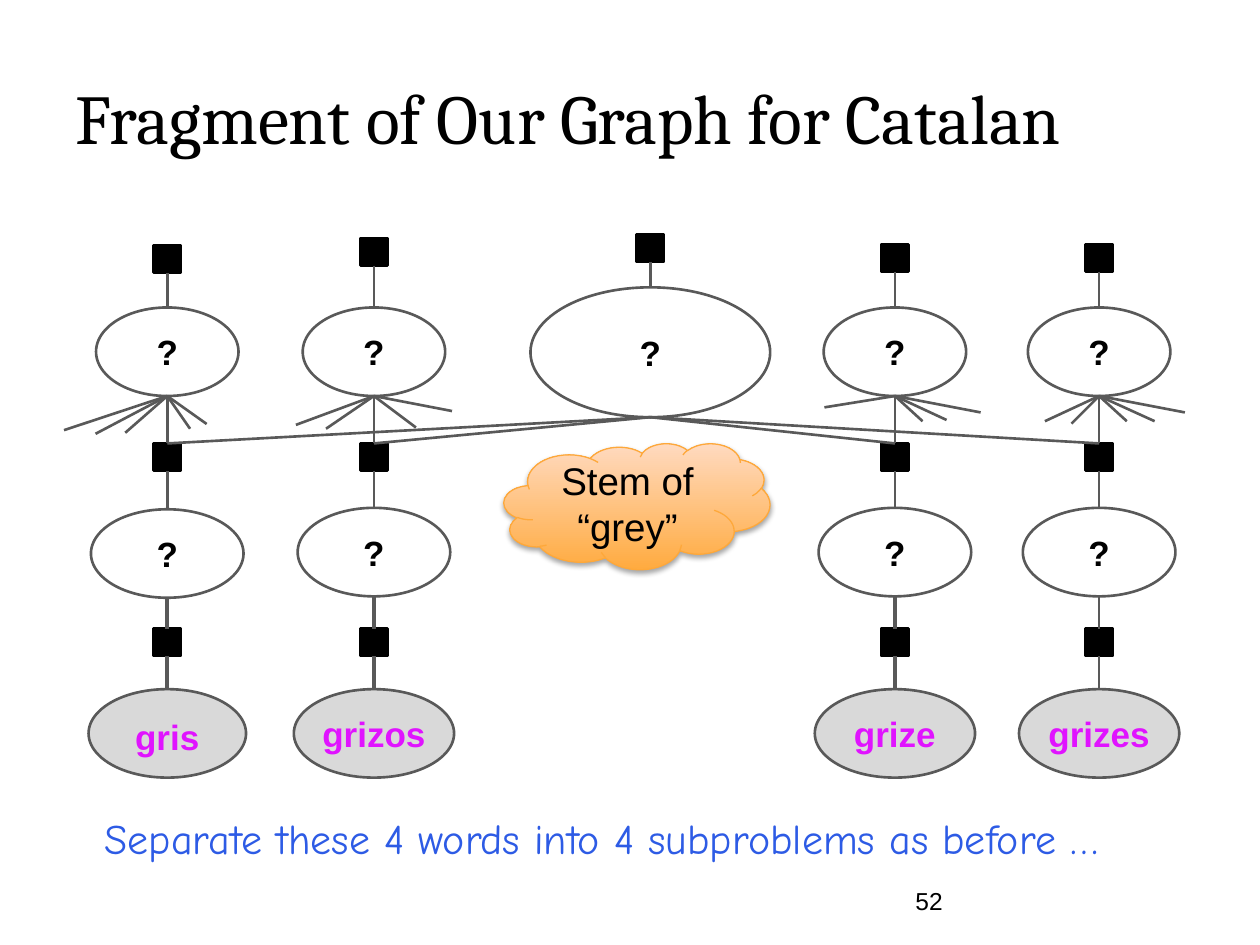
"""Build the slide showing a fragment of the factor graph for four Catalan words."""

from dataclasses import dataclass

from lxml.etree import SubElement
from pptx import Presentation
from pptx.dml.color import RGBColor
from pptx.enum.shapes import MSO_CONNECTOR, MSO_SHAPE
from pptx.enum.text import MSO_ANCHOR, MSO_AUTO_SIZE, PP_ALIGN
from pptx.oxml.ns import qn
from pptx.shapes.autoshape import Shape
from pptx.shapes.connector import Connector
from pptx.slide import Slide
from pptx.util import Pt

BLACK = RGBColor(0x00, 0x00, 0x00)
WHITE = RGBColor(0xFF, 0xFF, 0xFF)
GRAPH_LINE = RGBColor(0x59, 0x59, 0x59)
WORD_FILL = RGBColor(0xD9, 0xD9, 0xD9)
WORD_TEXT = RGBColor(0xE0, 0x13, 0xFF)
CLOUD_BOTTOM = RGBColor(0xFF, 0xAB, 0x40)
CLOUD_TOP = RGBColor(0xFF, 0xDA, 0xC0)
CLOUD_LINE = RGBColor(0xFE, 0xA8, 0x3A)
NOTE_BLUE = RGBColor(0x2D, 0x5B, 0xE5)

SQUARE_SIDE = 15.7
NODE_HEIGHT = 50.6
MIDDLE_SQUARE_TOP = 253.4
WORD_SQUARE_TOP = 359.3
UPPER_NODE_TOP = 175.7
WORD_NODE_TOP = 393.8


@dataclass(frozen=True)
class Column:
    """One word with its chain of nodes and its loose edges as offsets."""

    word: str
    center: float
    square_top: float
    middle_top: float
    word_width: float
    word_line: float
    loose_edges: tuple[tuple[float, float], ...]
    line_spacing: float = 1.0


COLUMNS = (
    Column("gris", 95.6, 140.2, 291, 90, 2.25,
           ((-59, 19.5), (-41, 21.6), (-24, 21), (13, 18.7), (22.5, 16)), 1.15),
    Column("grizos", 213.7, 136.1, 290.2, 91.6, 2.25,
           ((-44.6, 16.5), (-27.4, 18.7), (24, 18), (44.6, 8.6))),
    Column("grize", 511.4, 139.6, 290.2, 91.6, 2.25,
           ((-40.3, 6.5), (15.8, 14.4), (29.5, 13.7), (49, 9.4))),
    Column("grizes", 628.1, 139.6, 290.2, 91.6, 1.5,
           ((-31, 14.4), (-15.8, 15.8), (15.8, 14.4), (31.7, 14.4), (49, 9.4))),
)


def write(box: Shape, text: str, size: float, color: RGBColor, name: str = "Arial",
          bold: bool = False, align: PP_ALIGN = PP_ALIGN.LEFT,
          anchor: MSO_ANCHOR = MSO_ANCHOR.MIDDLE) -> None:
    """Put one formatted paragraph into a box."""
    frame = box.text_frame
    frame.word_wrap = True
    frame.auto_size = MSO_AUTO_SIZE.NONE
    frame.vertical_anchor = anchor
    para = frame.paragraphs[0]
    para.alignment = align
    span = para.add_run()
    span.text = text
    for key, value in {"name": name, "size": Pt(size), "bold": bold}.items():
        setattr(span.font, key, value)
    span.font.color.rgb = color


def add_figure(page: Slide, kind: MSO_SHAPE, center: float, top: float, width: float,
               height: float, fill: RGBColor, line: RGBColor) -> Shape:
    """Add a filled shape centred on a vertical axis."""
    figure = page.shapes.add_shape(
        kind, Pt(center - width / 2), Pt(top), Pt(width), Pt(height))
    figure.shadow.inherit = False
    figure.fill.solid()
    figure.fill.fore_color.rgb = fill
    figure.line.color.rgb = line
    figure.line.width = Pt(1.5)
    return figure


def add_square(page: Slide, center: float, top: float) -> Shape:
    """Add a black factor square."""
    return add_figure(page, MSO_SHAPE.RECTANGLE, center, top,
                      SQUARE_SIDE, SQUARE_SIDE, BLACK, BLACK)


def add_node(page: Slide, center: float, top: float, width: float,
             height: float = NODE_HEIGHT, text: str = "?",
             fill: RGBColor = WHITE, color: RGBColor = BLACK) -> Shape:
    """Add a labelled variable ellipse."""
    node = add_figure(page, MSO_SHAPE.OVAL, center, top, width, height, fill, GRAPH_LINE)
    write(node, text, 20, color, bold=True, align=PP_ALIGN.CENTER)
    for side in ("left", "top", "right", "bottom"):
        setattr(node.text_frame, f"margin_{side}", Pt(2.2))
    return node


def add_edge(page: Slide, upper: Shape, across: float = 0, down: float = 0,
             width: float = 1.5) -> Connector:
    """Add an edge from the bottom of a shape, ending at an offset."""
    x, y = upper.left + upper.width // 2, upper.top + upper.height
    edge = page.shapes.add_connector(
        MSO_CONNECTOR.STRAIGHT, x, y, x + Pt(across), y + Pt(down))
    edge.line.color.rgb = GRAPH_LINE
    edge.line.width = Pt(width)
    SubElement(edge._element.spPr, qn("a:effectLst"))
    return edge


def join(page: Slide, upper: Shape, lower: Shape, width: float = 1.5) -> None:
    """Join the bottom of one shape to the top of another."""
    edge = add_edge(page, upper, width=width)
    if upper.auto_shape_type == MSO_SHAPE.RECTANGLE:
        edge.begin_connect(upper, 2)
    edge.end_connect(lower, 0)


def add_column(page: Slide, column: Column, stem: Shape) -> None:
    """Draw the chain of one word and tie it to the shared stem."""
    center = column.center
    top_square = add_square(page, center, column.square_top)
    upper = add_node(page, center, UPPER_NODE_TOP, 81.4)
    middle_square = add_square(page, center, MIDDLE_SQUARE_TOP)
    middle = add_node(page, center, column.middle_top, 87.2)
    word_square = add_square(page, center, WORD_SQUARE_TOP)
    word = add_node(page, center, WORD_NODE_TOP, column.word_width,
                    text=column.word, fill=WORD_FILL, color=WORD_TEXT)
    word.text_frame.paragraphs[0].line_spacing = column.line_spacing
    for start, end in ((top_square, upper), (upper, middle_square),
                       (middle_square, middle), (stem, middle_square)):
        join(page, start, end)
    for start, end in ((middle, word_square), (word_square, word)):
        join(page, start, end, column.word_line)
    for across, down in column.loose_edges:
        add_edge(page, upper, across, down)


def add_cloud(page: Slide) -> None:
    """Add the shaded cloud that names the stem."""
    cloud = add_figure(page, MSO_SHAPE.CLOUD, 364, 253.4, 152, 72, CLOUD_TOP, CLOUD_LINE)
    cloud.line.width = Pt(0.75)
    cloud.fill.gradient()
    cloud.fill.gradient_angle = 90
    for stop, color in zip(cloud.fill.gradient_stops, (CLOUD_BOTTOM, CLOUD_TOP)):
        stop.color.rgb = color
    effects = cloud._element.spPr.find(qn("a:effectLst"))
    shadow = SubElement(effects, qn("a:outerShdw"), blurRad=str(Pt(3.1)),
                        dist=str(Pt(1.8)), dir="5400000", rotWithShape="0")
    tint = SubElement(shadow, qn("a:srgbClr"), val=str(BLACK))
    SubElement(tint, qn("a:alpha"), val="35000")
    write(cloud, "Stem of “grey”", 22, BLACK, align=PP_ALIGN.CENTER)


def main() -> None:
    """Build and save the deck."""
    deck = Presentation()
    deck.slide_width, deck.slide_height = Pt(720), Pt(540)
    page = deck.slides.add_slide(deck.slide_layouts[5])

    title = page.shapes.title
    place = {"left": 36, "top": 21.6, "width": 648, "height": 90}
    for key, value in place.items():
        setattr(title, key, Pt(value))
    write(title, "Fragment of Our Graph for Catalan", 40, BLACK, "Cambria")

    number = page.shapes.add_textbox(Pt(516), Pt(500.4), Pt(168), Pt(28.8))
    write(number, "52", 14, BLACK)

    stem_square = add_square(page, 371.6, 134)
    stem = add_node(page, 371.6, 164.2, 137, 74.2)
    join(page, stem_square, stem)
    for column in COLUMNS:
        add_column(page, column, stem)
    add_cloud(page)

    note = page.shapes.add_textbox(Pt(52.6), Pt(460.8), Pt(647.3), Pt(36))
    write(note, "Separate these 4 words into 4 subproblems as before …", 24,
          NOTE_BLUE, "Comic Neue", anchor=MSO_ANCHOR.TOP)
    deck.save("out.pptx")


if __name__ == "__main__":
    main()
